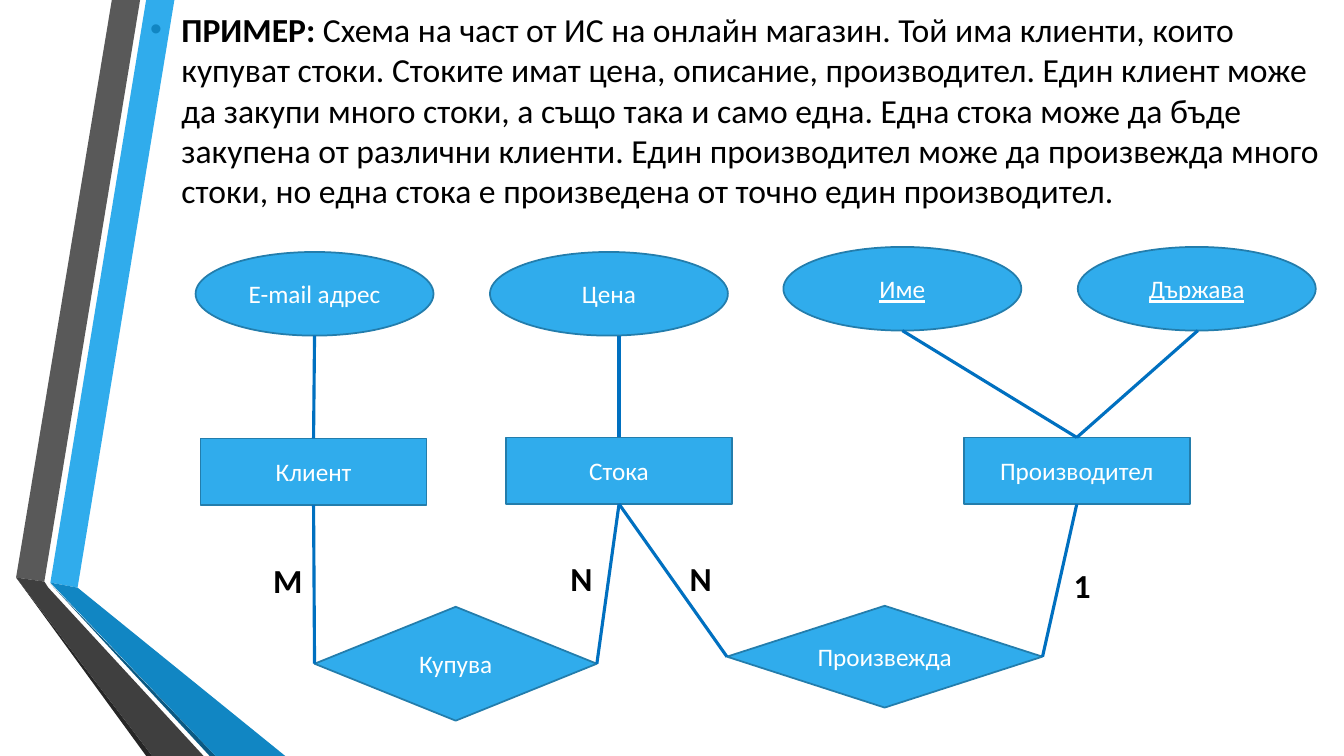
from dataclasses import dataclass

from lxml import etree
from pptx import Presentation
from pptx import util as u
from pptx.dml.color import RGBColor
from pptx.enum import shapes, text
from pptx.oxml import ns

BLUE = RGBColor(0x30, 0xAC, 0xEC)
EDGE = RGBColor(0x23, 0x7D, 0xAC)
LINK = RGBColor(0x00, 0x70, 0xC0)
DEEP = RGBColor(0x11, 0x86, 0xC3)
NAVY = RGBColor(0x0B, 0x59, 0x82)
GREY = RGBColor(0x59, 0x59, 0x59)
DARK = RGBColor(0x3F, 0x3F, 0x3F)
SOOT = RGBColor(0x26, 0x26, 0x26)
BLACK = RGBColor(0, 0, 0)
WHITE = RGBColor(0xFF, 0xFF, 0xFF)
FONT = "Calibri"

RECT = shapes.MSO_SHAPE.RECTANGLE
OVAL = shapes.MSO_SHAPE.OVAL
RHOMB = shapes.MSO_SHAPE.DIAMOND
TOP, LEFT, BOTTOM, RIGHT = range(4)
OVAL_W, OVAL_H = 2.36, 0.83
RECT_W, RECT_H = 2.24, 0.66


@dataclass
class Band:
    color: RGBColor
    points: list


@dataclass
class Node:
    label: str
    kind: int
    left: float
    top: float
    width: float
    height: float
    under: bool = False


@dataclass
class Mark:
    label: str
    left: float
    top: float


@dataclass
class Link:
    start: tuple  # node label, side
    end: tuple  # node label and side, or x and y


BANDS = [
    Band(BLUE, [(0.5, 5.78), (0.77, 5.83), (1.73, 0), (1.45, 0)]),
    Band(GREY, [(1.39, 0), (1.11, 0), (0.16, 5.73), (0.44, 5.77)]),
    Band(SOOT, [(0.16, 5.73), (1.45, 7.5), (1.51, 7.5)]),
    Band(NAVY, [(0.5, 5.79), (2.08, 7.5), (2.14, 7.5)]),
    Band(DEEP, [(0.5, 5.78), (2.14, 7.5), (2.83, 7.5), (0.77, 5.83)]),
    Band(DARK, [(2.02, 7.5), (0.48, 5.83), (0.44, 5.77), (0.16, 5.73), (1.51, 7.5)]),
]
NODES = [
    Node("Клиент", RECT, 1.99, 4.35, RECT_W, RECT_H),
    Node("Купува", RHOMB, 3.12, 6.02, 2.8, 1.13),
    Node("E-mail адрес", OVAL, 1.94, 2.5, OVAL_W, OVAL_H),
    Node("Цена", OVAL, 4.86, 2.5, OVAL_W, OVAL_H),
    Node("Име", OVAL, 7.77, 2.45, OVAL_W, OVAL_H, True),
    Node("Държава", OVAL, 10.69, 2.45, OVAL_W, OVAL_H, True),
    Node("Стока", RECT, 5.02, 4.34, RECT_W, RECT_H),
    Node("Производител", RECT, 9.56, 4.34, RECT_W, RECT_H),
    Node("Произвежда", RHOMB, 7.21, 6.01, 3.13, 1.01),
]
LINKS = [
    Link(("Клиент", TOP), (3.12, 3.33)),
    Link(("Стока", TOP), (6.14, 3.33)),
    Link(("Производител", TOP), (8.95, 3.28)),
    Link(("Производител", TOP), (11.88, 3.28)),
    Link(("Купува", LEFT), ("Клиент", BOTTOM)),
    Link(("Купува", RIGHT), ("Стока", BOTTOM)),
    Link(("Произвежда", RIGHT), ("Производител", BOTTOM)),
    Link(("Произвежда", LEFT), ("Стока", BOTTOM)),
]
MARKS = [
    Mark("1", 10.55, 5.56),
    Mark("N", 6.74, 5.49),
    Mark("N", 5.56, 5.49),
    Mark("М", 2.61, 5.51),
]
LEAD = "ПРИМЕР:"
STORY = (
    " Схема на част от ИС на онлайн магазин. Той има клиенти, които купуват стоки. "
    "Стоките имат цена, описание, производител. Един клиент може да закупи много стоки, "
    "а също така и само една. Една стока може да бъде закупена от различни клиенти. "
    "Един производител може да произвежда много стоки, но една стока е произведена "
    "от точно един производител."
)


def style(run, size: int, color: RGBColor, bold: bool = False) -> None:
    run.font.name = FONT
    run.font.size = u.Pt(size)
    run.font.bold = bold
    run.font.color.rgb = color


def place(shape, left: float, top: float, width: float, height: float) -> None:
    shape.left, shape.top = u.Inches(left), u.Inches(top)
    shape.width, shape.height = u.Inches(width), u.Inches(height)


def draw_band(slide, band: Band) -> None:
    spots = [(u.Inches(x), u.Inches(y)) for x, y in band.points]
    pen = slide.shapes.build_freeform(*spots[0])
    pen.add_line_segments(spots[1:], close=True)
    shape = pen.convert_to_shape()
    shape.shadow.inherit = False
    shape.fill.solid()
    shape.fill.fore_color.rgb = band.color
    shape.line.fill.background()


def draw_node(slide, node: Node):
    box = [u.Inches(n) for n in (node.left, node.top, node.width, node.height)]
    shape = slide.shapes.add_shape(node.kind, *box)
    shape.shadow.inherit = False
    shape.fill.solid()
    shape.fill.fore_color.rgb = BLUE
    shape.line.color.rgb = EDGE
    shape.line.width = u.Pt(1.25)
    frame = shape.text_frame
    frame.text = node.label
    frame.vertical_anchor = text.MSO_ANCHOR.MIDDLE
    para = frame.paragraphs[0]
    para.alignment = text.PP_ALIGN.CENTER
    style(para.runs[0], 18, WHITE)
    if node.under:
        para.runs[0].font.underline = True
    return shape


def draw_link(slide, link: Link, made: dict) -> None:
    name, side = link.start
    free = link.end[0] not in made
    spot = [u.Inches(n) for n in link.end] if free else [0, 0]
    line = slide.shapes.add_connector(shapes.MSO_CONNECTOR.STRAIGHT, 0, 0, *spot)
    line.begin_connect(made[name], side)
    if not free:
        line.end_connect(made[link.end[0]], link.end[1])
    line.line.color.rgb = LINK
    line.line.width = u.Pt(2.25)
    etree.SubElement(line.element.spPr, ns.qn("a:effectLst"))


def draw_mark(slide, mark: Mark) -> None:
    box = slide.shapes.add_textbox(0, 0, 0, 0)
    place(box, mark.left, mark.top, 0.51, 0.5)
    frame = box.text_frame
    frame.word_wrap = True
    frame.text = mark.label
    style(frame.paragraphs[0].runs[0], 24, BLACK, True)


def fill_body(body) -> None:
    place(body, 1.39, -0.17, 11.94, 2.52)
    frame = body.text_frame
    frame.auto_size = text.MSO_AUTO_SIZE.NONE
    frame.vertical_anchor = text.MSO_ANCHOR.MIDDLE
    para = frame.paragraphs[0]
    para.space_before = u.Pt(0)
    for words, bold in ((LEAD, True), (STORY, False)):
        run = para.add_run()
        run.text = words
        style(run, 24, BLACK, bold)
    # Bullet with a hanging indent
    props = para._p.get_or_add_pPr()
    props.set("marL", str(u.Inches(0.31)))
    props.set("indent", str(u.Inches(-0.31)))
    tint = etree.SubElement(props, ns.qn("a:buClr"))
    etree.SubElement(tint, ns.qn("a:srgbClr")).set("val", str(DEEP))
    etree.SubElement(props, ns.qn("a:buFont")).set("typeface", "Arial")
    etree.SubElement(props, ns.qn("a:buChar")).set("char", "•")


def main() -> None:
    deck = Presentation()
    deck.slide_width, deck.slide_height = u.Inches(13.33), u.Inches(7.5)
    slide = deck.slides.add_slide(deck.slide_layouts[1])
    title, body = slide.placeholders
    tree = body.element.getparent()
    tree.remove(title.element)

    # Side ribbon, behind the body text
    for band in BANDS:
        draw_band(slide, band)
    tree.append(body.element)
    fill_body(body)

    # Diagram
    made = {node.label: draw_node(slide, node) for node in NODES}
    for link in LINKS:
        draw_link(slide, link, made)
    for mark in MARKS:
        draw_mark(slide, mark)
    deck.save("out.pptx")


if __name__ == "__main__":
    main()
